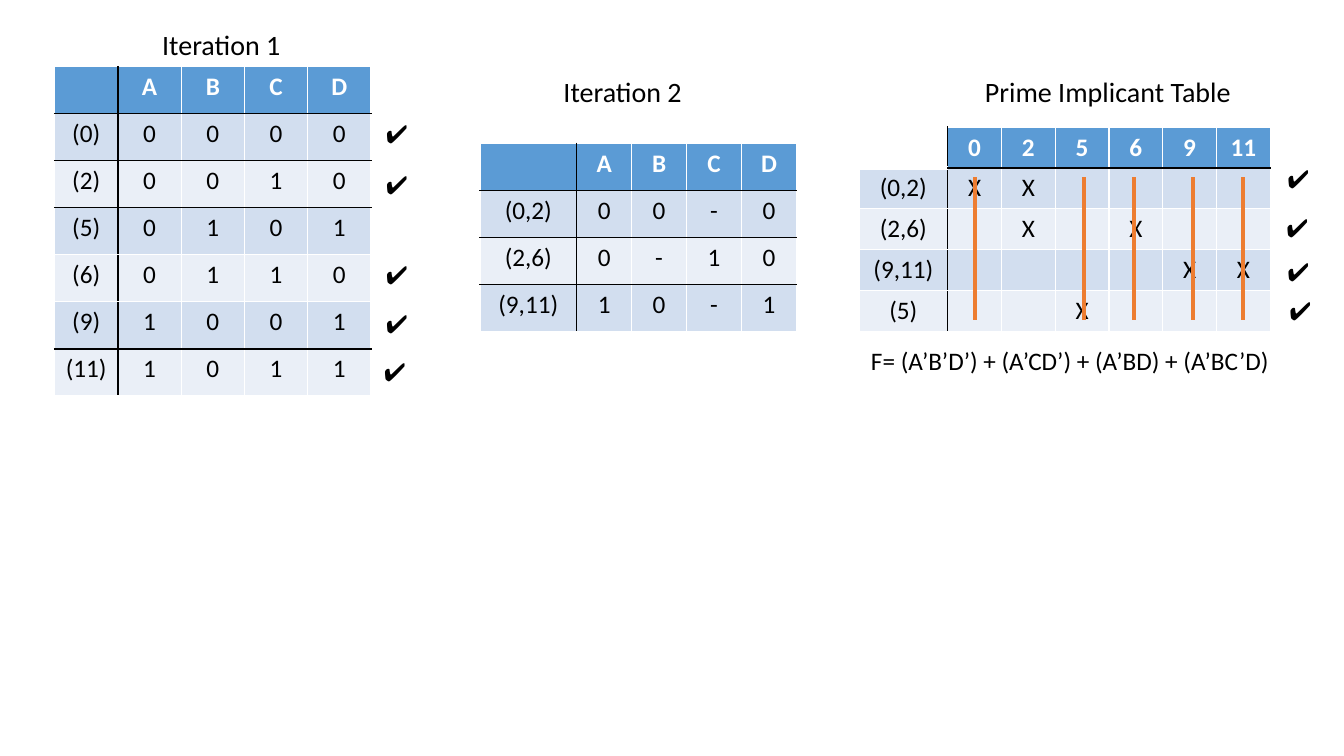
from lxml.etree import SubElement
from pptx import Presentation
from pptx.dml.color import RGBColor
from pptx.enum.shapes import MSO_CONNECTOR
from pptx.enum.text import MSO_AUTO_SIZE, PP_ALIGN
from pptx.oxml import parse_xml
from pptx.oxml.ns import nsdecls, qn
from pptx.util import Inches, Pt

BLACK, WHITE = "000000", "FFFFFF"
HEADER, BANDS, STRIKE = "5B9BD5", ("D2DEEF", "EAEFF7"), "ED7D31"
TICK = "\u2714"


def color(hex_code):
    """Return the colour for a hex string."""
    return RGBColor.from_string(hex_code)


def add_run(paragraph, words, size=18, ink=BLACK, bold=False):
    """Add one styled run to a paragraph."""
    run = paragraph.add_run()
    run.text = words
    run.font.name = "Calibri"
    run.font.size = Pt(size)
    run.font.bold = bold
    run.font.color.rgb = color(ink)


def add_label(slide, words, left, top, width, height=0.4, size=18):
    """Add a single-line text box that fits its text."""
    label = slide.shapes.add_textbox(
        Inches(left), Inches(top), Inches(width), Inches(height))
    label.text_frame.word_wrap = False
    label.text_frame.auto_size = MSO_AUTO_SIZE.SHAPE_TO_FIT_TEXT
    add_run(label.text_frame.paragraphs[0], words, size)


def add_ticks(slide, left, top, offsets):
    """Add check marks at offsets from a table's corner."""
    for across, down in offsets:
        add_label(slide, TICK, left + across, top + down, 0.4)


def set_borders(cell, inks, bottom_width=1):
    """Draw the left, right, top and bottom borders of a cell."""
    properties = cell._tc.get_or_add_tcPr()
    for index, (side, ink) in enumerate(zip("LRTB", inks)):
        width = Pt(bottom_width if side == "B" else 1)
        border = parse_xml(f'<a:ln{side} {nsdecls("a")} w="{width}"><a:solidFill>'
                           f'<a:srgbClr val="{ink}"/></a:solidFill></a:ln{side}>')
        properties.insert(index, border)


def add_grid(slide, box, rows, first_width, ruled, open_corner=False):
    """Add a banded table with black rules below the rows in ruled."""
    left, top, width, height = box
    grid = slide.shapes.add_table(
        len(rows), len(rows[0]), *[Inches(length) for length in box]).table
    for index, column in enumerate(grid.columns):
        column.width = Inches((width - first_width) / (len(rows[0]) - 1)
                              if index else first_width)
    for r, entries in enumerate(rows):
        grid.rows[r].height = Inches(height / len(rows))
        for c, entry in enumerate(entries):
            cell = grid.cell(r, c)
            paragraph = cell.text_frame.paragraphs[0]
            paragraph.alignment = PP_ALIGN.CENTER
            if entry:
                add_run(paragraph, entry, ink=BLACK if r else WHITE, bold=r == 0)
            corner = open_corner and r == c == 0
            if corner:
                cell.fill.background()
            else:
                cell.fill.solid()
                cell.fill.fore_color.rgb = color(BANDS[(r - 1) % 2] if r else HEADER)
            unruled = open_corner and c == 0
            black_sides = (c == 1, c == 0, r - 1 in ruled and not unruled,
                           r in ruled and not unruled)
            set_borders(cell, [BLACK if side else WHITE for side in black_sides],
                        3 if corner else 1)


def iteration_one(slide, left, top):
    """Build the minterm table with its title and check marks."""
    add_label(slide, "Iteration 1", left + 0.97, top - 0.44, 1.39, 0.44, 20)
    minterms = (0, 2, 5, 6, 9, 11)
    rows = [["", *"ABCD"]] + [[f"({m})", *f"{m:04b}"] for m in minterms]
    add_grid(slide, (left, top, 3.14, 3.27), rows, 0.63, {0, 1, 2, 5})
    add_ticks(slide, left, top, [(3.19, 0.46), (3.19, 0.97), (3.19, 1.86),
                                 (3.19, 2.35), (3.17, 2.83)])


def iteration_two(slide, left, top):
    """Build the table of combined minterms with its title."""
    add_label(slide, "Iteration 2", left + 0.73, top - 0.73, 1.39, 0.44, 20)
    rows = [["", *"ABCD"], ["(0,2)", *"00-0"],
            ["(2,6)", *"0-10"], ["(9,11)", *"10-1"]]
    add_grid(slide, (left, top, 3.14, 1.87), rows, 0.96, {0, 1, 2})


def add_strike(slide, x, top, bottom):
    """Draw a vertical line through a covered column."""
    strike = slide.shapes.add_connector(
        MSO_CONNECTOR.STRAIGHT, Inches(x), Inches(top), Inches(x), Inches(bottom))
    strike.line.color.rgb = color(STRIKE)
    strike.line.width = Pt(3)
    SubElement(strike._element.spPr, qn("a:effectLst"))


def prime_implicants(slide, left, top):
    """Build the prime implicant table, its strikes, check marks and result."""
    add_label(slide, "Prime Implicant Table", left + 1.15, top - 0.57, 2.67, 0.44, 20)
    minterms = (0, 2, 5, 6, 9, 11)
    implicants = {"(0,2)": (0, 2), "(2,6)": (2, 6), "(9,11)": (9, 11), "(5)": (5,)}
    rows = [["", *map(str, minterms)]]
    for name, covered in implicants.items():
        rows.append([name] + ["X" if m in covered else "" for m in minterms])
    add_grid(slide, (left, top, 4.08, 2.03), rows, 0.88, {0}, open_corner=True)
    for across in (1.15, 2.23, 2.73, 3.31, 3.81):
        add_strike(slide, left + across, top + 0.5, top + 1.91)
    add_ticks(slide, left, top, [(4.15, 0.31), (4.14, 0.8), (4.15, 1.23), (4.17, 1.62)])
    add_label(slide, "F= (A’B’D’) + (A’CD’) + (A’BD) + (A’BC’D)",
              left + 0.02, top + 2.12, 4.25)


def main():
    """Create the slide and save the deck."""
    deck = Presentation()
    deck.slide_width, deck.slide_height = Inches(13.33), Inches(7.5)
    slide = deck.slides.add_slide(deck.slide_layouts[6])
    iteration_one(slide, 0.54, 0.66)
    iteration_two(slide, 4.76, 1.42)
    prime_implicants(slide, 8.52, 1.26)
    deck.save("out.pptx")


main()
